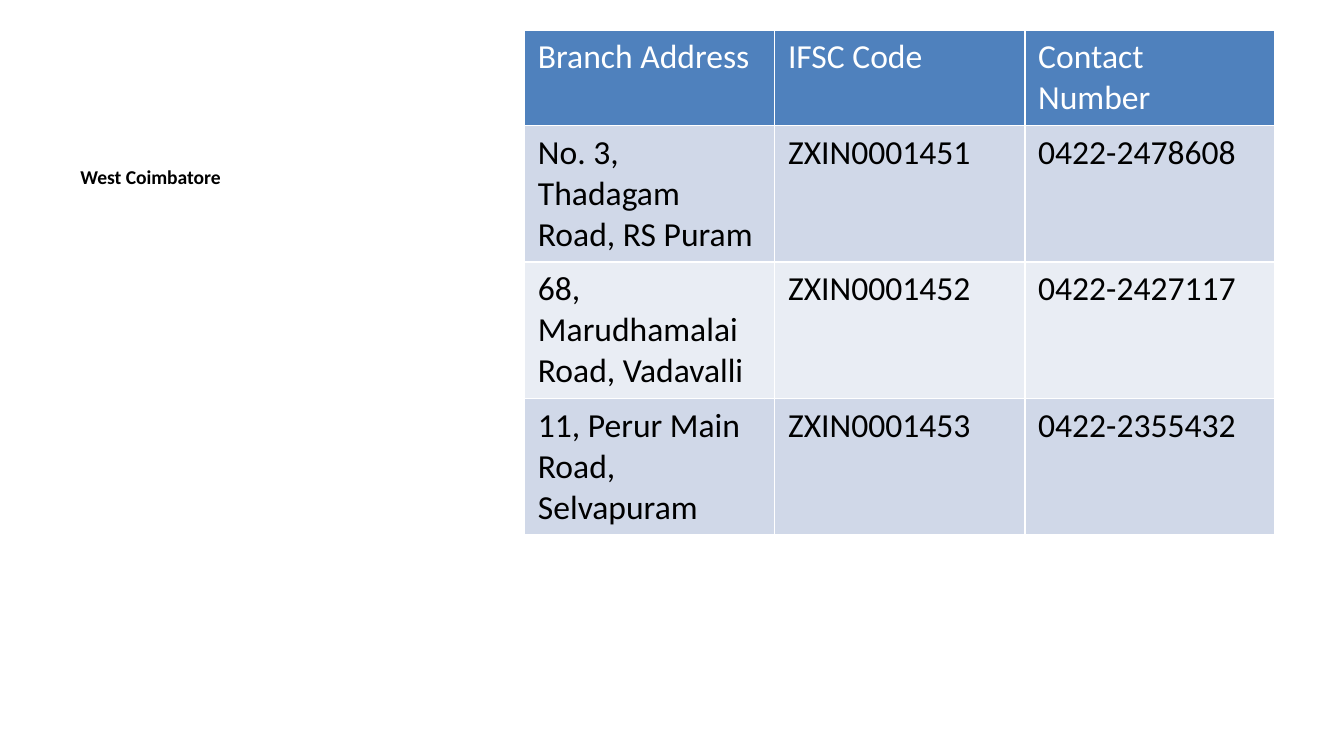
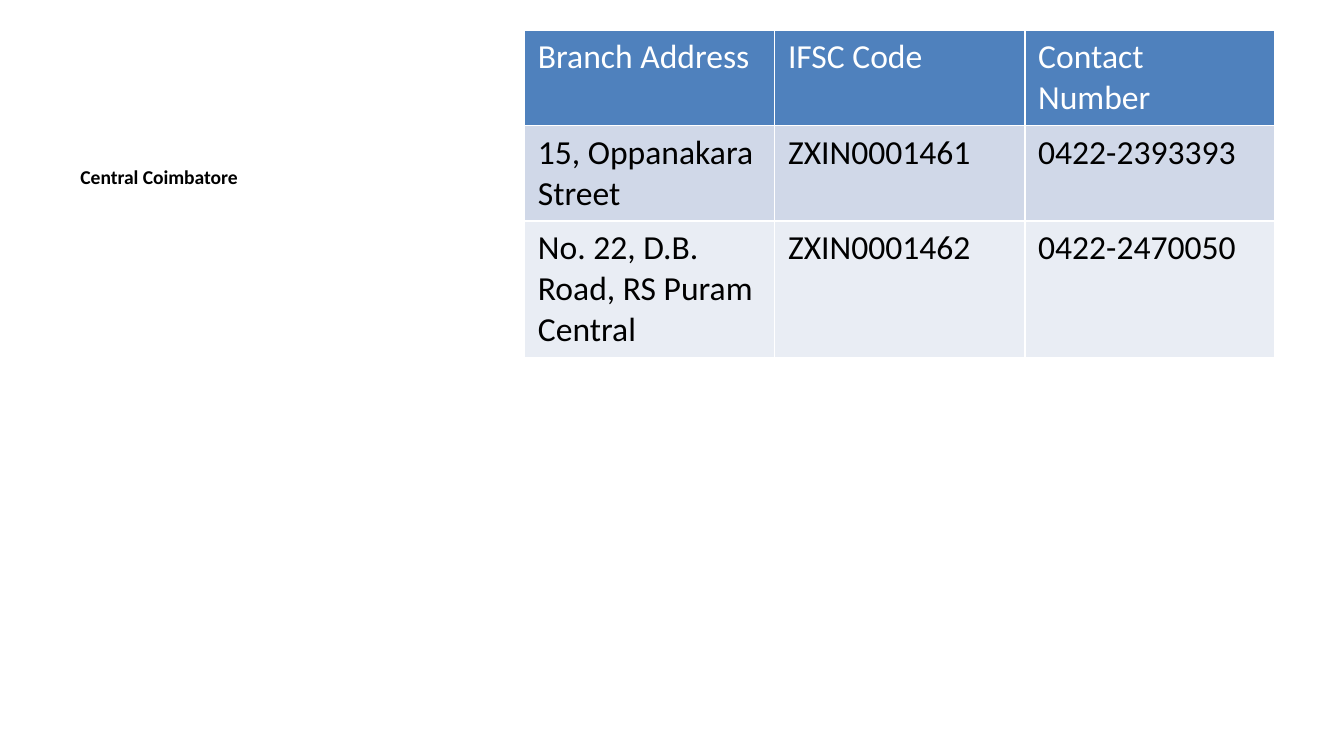
from dataclasses import dataclass

from pptx import Presentation, util as u
from pptx.dml.color import RGBColor


@dataclass(frozen=True)
class Theme:
    """Colours and type shared by the branch slides."""
    font: str = "Calibri"
    region_size: float = 10.5
    table_size: float = 18
    ink: str = "000000"
    header_ink: str = "FFFFFF"
    header_fill: str = "4F81BD"
    bands: tuple = ("D0D8E8", "E9EDF4")


THEME = Theme()
SLIDE_SIZE = (720, 405)
REGION_BOX = (36, 85, 237, 277)
BRANCHES_BOX = (281, 16, 402)
LINE_HEIGHT = 22
CELL_MARGINS = 7.2
HEADINGS = ("Branch Address", "IFSC Code", "Contact Number")
HEADING_LINES = 2

REGIONS = {
    "West Coimbatore": [
        (3, "No. 3, Thadagam Road, RS Puram", "ZXIN0001451", "0422-2478608"),
        (3, "68, Marudhamalai Road, Vadavalli", "ZXIN0001452", "0422-2427117"),
        (3, "11, Perur Main Road, Selvapuram", "ZXIN0001453", "0422-2355432"),
    ],
    "Central Coimbatore": [
        (2, "15, Oppanakara Street", "ZXIN0001461", "0422-2393393"),
        (3, "No. 22, D.B. Road, RS Puram Central", "ZXIN0001462", "0422-2470050"),
    ],
}


def write(frame, content, *, size, color=THEME.ink, bold=False):
    """Put one formatted paragraph into a text frame."""
    frame.word_wrap = True
    paragraph = frame.paragraphs[0]
    run = paragraph.add_run()
    run.text = content
    run.font.name = THEME.font
    run.font.size = u.Pt(size)
    run.font.bold = bold
    run.font.color.rgb = RGBColor.from_string(color)


def add_region_name(slide, box, region):
    """Name the region in the left column."""
    label = slide.shapes.add_textbox(*map(u.Pt, box))
    write(label.text_frame, region, size=THEME.region_size, bold=True)


def add_branches(slide, box, branches):
    """List the branches under a header, with rows as tall as their lines of text."""
    left, top, width = box
    entries = [(HEADING_LINES, *HEADINGS), *branches]
    heights = [LINE_HEIGHT * lines + CELL_MARGINS for lines, *_ in entries]
    listing = slide.shapes.add_table(
        len(entries), len(HEADINGS),
        *map(u.Pt, (left, top, width, sum(heights)))).table
    for column in listing.columns:
        column.width = u.Pt(width / len(HEADINGS))
    for index, (_, *details) in enumerate(entries):
        listing.rows[index].height = u.Pt(heights[index])
        is_header = index == 0
        fill = THEME.header_fill if is_header else THEME.bands[(index - 1) % 2]
        ink = THEME.header_ink if is_header else THEME.ink
        for cell, detail in zip(listing.rows[index].cells, details):
            cell.fill.solid()
            cell.fill.fore_color.rgb = RGBColor.from_string(fill)
            write(cell.text_frame, detail, size=THEME.table_size, color=ink)


def add_region_slide(deck, region, branches):
    """Build one slide with a region and its branches."""
    slide = deck.slides.add_slide(deck.slide_layouts[6])
    add_region_name(slide, REGION_BOX, region)
    add_branches(slide, BRANCHES_BOX, branches)


def main():
    """Build and save the deck."""
    deck = Presentation()
    deck.slide_width, deck.slide_height = map(u.Pt, SLIDE_SIZE)
    for region, branches in REGIONS.items():
        add_region_slide(deck, region, branches)
    deck.save("out.pptx")


if __name__ == "__main__":
    main()
